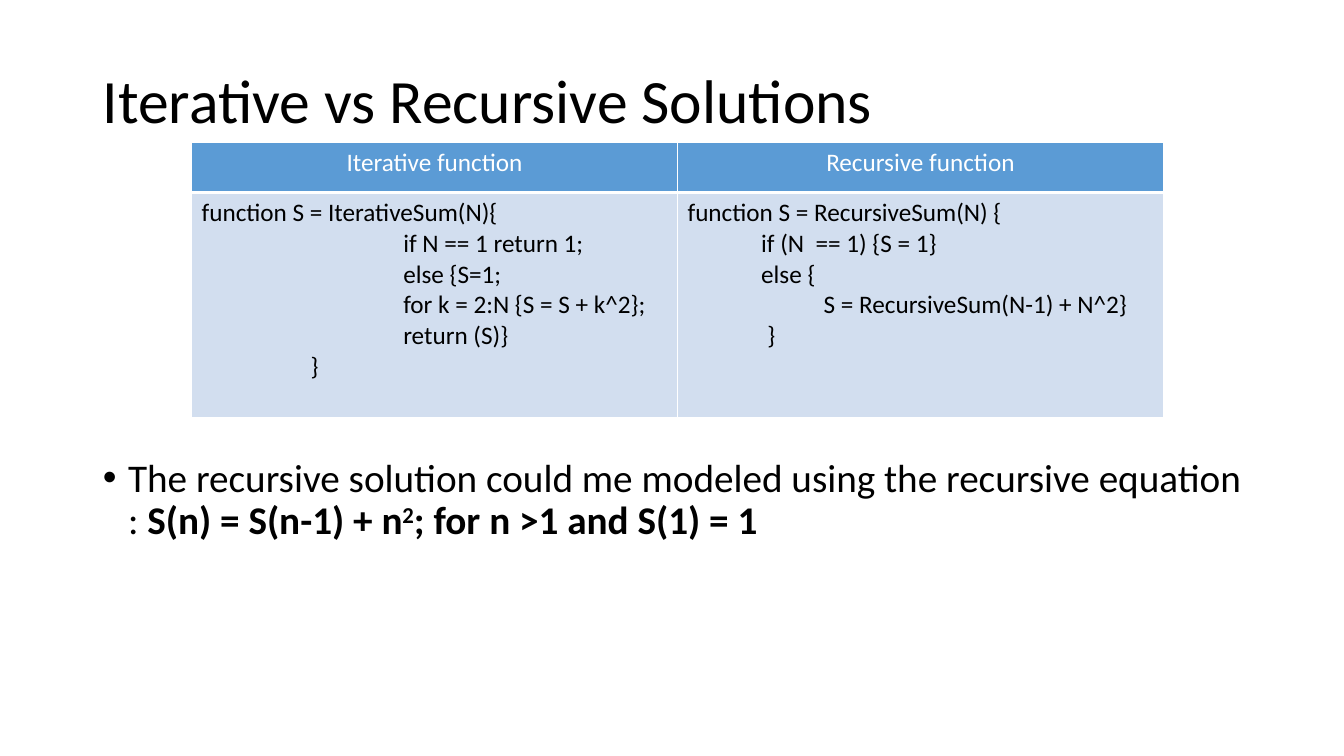
from pptx import Presentation
from pptx.dml.color import RGBColor
from pptx.enum.text import MSO_ANCHOR as Anchor, MSO_AUTO_SIZE as AutoSize, PP_ALIGN as Align
from pptx.oxml import parse_xml
from pptx.oxml.ns import nsdecls
from pptx.util import Inches, Pt

BLACK, WHITE, HEADER_BLUE, PALE_BLUE = "000000", "FFFFFF", "5B9BD5", "D2DEEF"

# Each code line: indent in inches, text
ITERATIVE = [
    (0, "function S = IterativeSum(N){"),
    (2, "if N == 1 return 1;"),
    (2, "else {S=1;"),
    (2, "for k = 2:N {S = S + k^2};"),
    (2, "return (S)}"),
    (1.08, "}"),
]
RECURSIVE = [
    (0, "function S = RecursiveSum(N) {"),
    (0.73, "if (N  == 1) {S = 1}"),
    (0.73, "else {"),
    (1.35, "S = RecursiveSum(N-1) + N^2}"),
    (0.79, "}"),
]


def color(hex_text):
    return RGBColor.from_string(hex_text)


def add_span(para, text, size=18, ink=BLACK, bold=False, raised=False):
    span = para.add_run()
    span.text = text
    span.font.name = "Calibri"
    span.font.size = Pt(size)
    span.font.bold = bold
    span.font.color.rgb = color(ink)
    if raised:
        span.font._element.set("baseline", "30000")


def set_indent(para, left, first=0):
    props = para._p.get_or_add_pPr()
    props.set("marL", str(Inches(left)))
    props.set("indent", str(Inches(first)))
    return props


def place(holder, left, top, width, height, anchor):
    holder.left, holder.top = Inches(left), Inches(top)
    holder.width, holder.height = Inches(width), Inches(height)
    frame = holder.text_frame
    frame.auto_size = AutoSize.NONE
    frame.word_wrap = True
    frame.vertical_anchor = anchor
    para = frame.paragraphs[0]
    para.alignment = Align.LEFT
    para.line_spacing = 0.9
    para.space_before = Pt(0)
    return frame


def add_title(page, text):
    frame = place(page.shapes.title, 0.92, 0.3, 11.5, 1.45, Anchor.MIDDLE)
    add_span(frame.paragraphs[0], text, size=44)


def add_body(page):
    frame = place(page.placeholders[1], 0.92, 1.67, 11.5, 5.08, Anchor.TOP)
    frame.margin_top = Inches(2.88)  # keeps the text below the table
    para = frame.paragraphs[0]
    props = set_indent(para, 0.25, -0.25)
    props.append(parse_xml(f'<a:buFont {nsdecls("a")} typeface="Arial"/>'))
    props.append(parse_xml(f'<a:buChar {nsdecls("a")} char="•"/>'))
    add_span(para, "The recursive solution could me modeled using the recursive equation : ", size=28)
    add_span(para, "S(n) = S(n-1) + n", size=28, bold=True)
    add_span(para, "2", size=28, bold=True, raised=True)
    add_span(para, "; for n >1 and S(1) = 1", size=28, bold=True)


def format_cell(cell, fill, top=1, bottom=1):
    props = cell._tc.get_or_add_tcPr()
    for side, width in (("L", 1), ("R", 1), ("T", top), ("B", bottom)):
        props.append(parse_xml(
            f'<a:ln{side} {nsdecls("a")} w="{Pt(width)}"><a:solidFill>'
            f'<a:srgbClr val="{WHITE}"/></a:solidFill></a:ln{side}>'))
    cell.fill.solid()
    cell.fill.fore_color.rgb = color(fill)


def add_comparison(page, columns):
    table = page.shapes.add_table(
        2, len(columns), Inches(1.9), Inches(1.41), Inches(9.64), Inches(2.73)).table
    table.rows[0].height, table.rows[1].height = Inches(0.5), Inches(2.23)
    for index, (heading, code) in enumerate(columns):
        # Heading
        head = table.cell(0, index)
        format_cell(head, HEADER_BLUE, bottom=3)
        para = head.text_frame.paragraphs[0]
        para.alignment = Align.CENTER
        add_span(para, heading, ink=WHITE)
        # Code, one paragraph a line
        cell = table.cell(1, index)
        format_cell(cell, PALE_BLUE, top=3)
        frame = cell.text_frame
        for number, (indent, text) in enumerate(code):
            para = frame.add_paragraph() if number else frame.paragraphs[0]
            set_indent(para, indent)
            add_span(para, text)


def main():
    deck = Presentation()
    deck.slide_width, deck.slide_height = Inches(13.33), Inches(7.5)
    page = deck.slides.add_slide(deck.slide_layouts[1])
    add_title(page, "Iterative vs Recursive Solutions")
    add_body(page)
    add_comparison(page, [("Iterative function", ITERATIVE), ("Recursive function", RECURSIVE)])
    deck.save("out.pptx")


if __name__ == "__main__":
    main()
